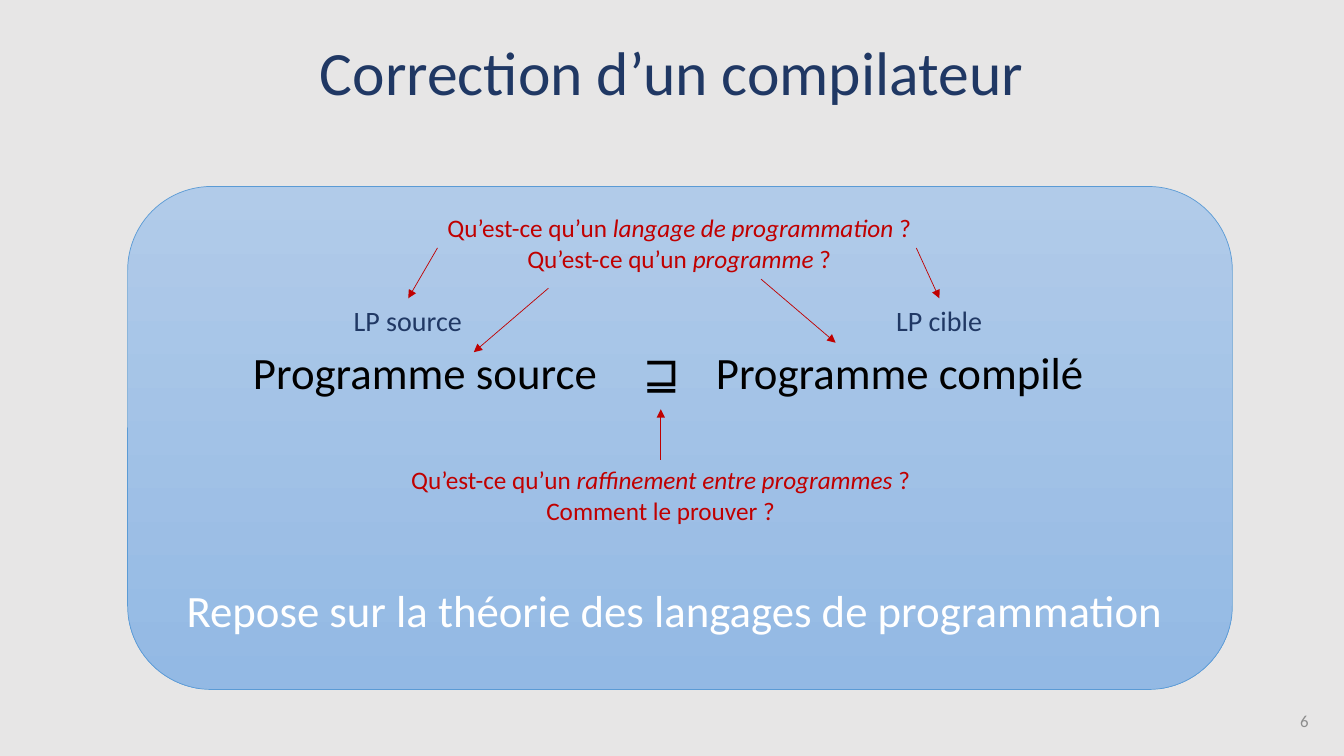
from dataclasses import dataclass

from lxml.etree import SubElement
from pptx import Presentation
from pptx.dml.color import RGBColor as RGB
from pptx.enum.shapes import MSO_CONNECTOR as Connector, MSO_SHAPE as Preset
from pptx.enum.text import MSO_ANCHOR as Anchor, MSO_AUTO_SIZE as AutoSize, PP_ALIGN as Align
from pptx.oxml.ns import qn
from pptx.util import Pt


@dataclass(frozen=True)
class Theme:
    font: str = "Calibri"
    background: RGB = RGB(0xE7, 0xE6, 0xE6)
    navy: RGB = RGB(0x20, 0x38, 0x64)
    black: RGB = RGB(0, 0, 0)
    white: RGB = RGB(255, 255, 255)
    red: RGB = RGB(0xC0, 0, 0)
    grey: RGB = RGB(0x8C, 0x8C, 0x8C)
    panel_top: RGB = RGB(0xB1, 0xCB, 0xE9)
    panel_bottom: RGB = RGB(0x93, 0xB9, 0xE4)
    panel_edge: RGB = RGB(0x5B, 0x9B, 0xD5)
    title: int = 44
    statement: int = 32
    label: int = 20
    question: int = 18
    number: int = 12
    hairline: float = 0.5


class SlideBuilder:
    def __init__(self, slide, theme):
        self.slide, self.theme = slide, theme
        slide.background.fill.solid()
        slide.background.fill.fore_color.rgb = theme.background

    def panel(self, box):
        panel = self.slide.shapes.add_shape(Preset.ROUNDED_RECTANGLE, *map(Pt, box))
        panel.shadow.inherit = False
        panel.fill.gradient()
        panel.fill.gradient_angle = 270
        colours = (self.theme.panel_top, self.theme.panel_bottom)
        for stop, colour in zip(panel.fill.gradient_stops, colours):
            stop.color.rgb = colour
        panel.line.color.rgb = self.theme.panel_edge
        panel.line.width = Pt(self.theme.hairline)

    def text(self, box, lines, size, colour, aligns=(Align.CENTER,), spacing=None, **frame_format):
        """Write one paragraph per line; *stars* enclose italics."""
        frame = self.slide.shapes.add_textbox(*map(Pt, box)).text_frame
        for name, value in ({"word_wrap": True} | frame_format).items():
            setattr(frame, name, value)
        for index, (line, align) in enumerate(zip(lines, aligns)):
            paragraph = frame.add_paragraph() if index else frame.paragraphs[0]
            paragraph.alignment, paragraph.line_spacing = align, spacing
            for part, words in enumerate(line.split("*")):
                if not words:
                    continue
                run = paragraph.add_run()
                run.text = words
                run.font.color.rgb = colour
                font_format = {"name": self.theme.font, "size": Pt(size), "italic": part % 2 == 1}
                for name, value in font_format.items():
                    setattr(run.font, name, value)
        return frame

    def tab_stops(self, paragraph, positions):
        stops = SubElement(paragraph._p.get_or_add_pPr(), qn("a:tabLst"))
        for position in positions:
            SubElement(stops, qn("a:tab"), pos=str(Pt(position)), algn="l")

    def arrow(self, start, end):
        arrow = self.slide.shapes.add_connector(Connector.STRAIGHT, *map(Pt, start + end))
        arrow.line.color.rgb = self.theme.red
        arrow.line.width = Pt(self.theme.hairline)
        SubElement(arrow.line._get_or_add_ln(), qn("a:tailEnd"), type="triangle")
        SubElement(arrow._element.spPr, qn("a:effectLst"))


def main():
    deck = Presentation()
    deck.slide_width, deck.slide_height = Pt(960), Pt(540)
    theme = Theme()
    page = SlideBuilder(deck.slides.add_slide(deck.slide_layouts[6]), theme)
    grow = {"auto_size": AutoSize.SHAPE_TO_FIT_TEXT}
    snug = grow | {"word_wrap": False}

    # Panel and title
    page.panel((91.2, 133.2, 789.1, 359.3))
    page.text((66, 1.4, 828, 104.4), ["Correction d’un compilateur"], theme.title, theme.navy,
              spacing=0.9, vertical_anchor=Anchor.MIDDLE)

    # Refinement statement, its three terms set on tab stops
    refinement = page.text((0, 242.6, 960, 67.7), ["Programme source\t⊒\tProgramme compilé"],
                           theme.statement, theme.black, [Align.LEFT],
                           margin_left=Pt(180.7), **grow)
    page.tab_stops(refinement.paragraphs[0], (278.3, 330.7))

    # Language labels
    for left, width, label in ((633, 76.3, "LP cible"), (245.5, 92.9, "LP source")):
        page.text((left, 213.1, width, 31.5), [label], theme.label, theme.navy, [Align.LEFT], **snug)

    # Conclusion
    page.text((91.2, 412.6, 789.1, 46), ["Repose sur la théorie des langages de programmation "],
              theme.statement, theme.white, **grow)

    # Questions
    questions = (
        ((312.5, 148.3, 349.9, 51),
         ["Qu’est-ce qu’un *langage de programmation* ?", "Qu’est-ce qu’un *programme* ?"]),
        ((286.6, 328.3, 375.8, 51),
         ["Qu’est-ce qu’un *raffinement entre programmes *?", "Comment le prouver ?"]),
    )
    for box, lines in questions:
        page.text(box, lines, theme.question, theme.red, (Align.LEFT, Align.CENTER), **snug)

    # Arrows from the questions to the terms
    for start, end in (
        ((312.5, 177.1), (291.6, 213.1)),
        ((654.5, 177.1), (671, 213.1)),
        ((391.7, 205.9), (338.4, 251.6)),
        ((543.6, 199.4), (596.9, 244.8)),
        ((472, 328.3), (472, 292.3)),
    ):
        page.arrow(start, end)

    # Slide number
    page.text((725.8, 500.5, 216, 28.8), ["6"], theme.number, theme.grey, [Align.RIGHT],
              vertical_anchor=Anchor.MIDDLE)

    deck.save("out.pptx")


if __name__ == "__main__":
    main()
